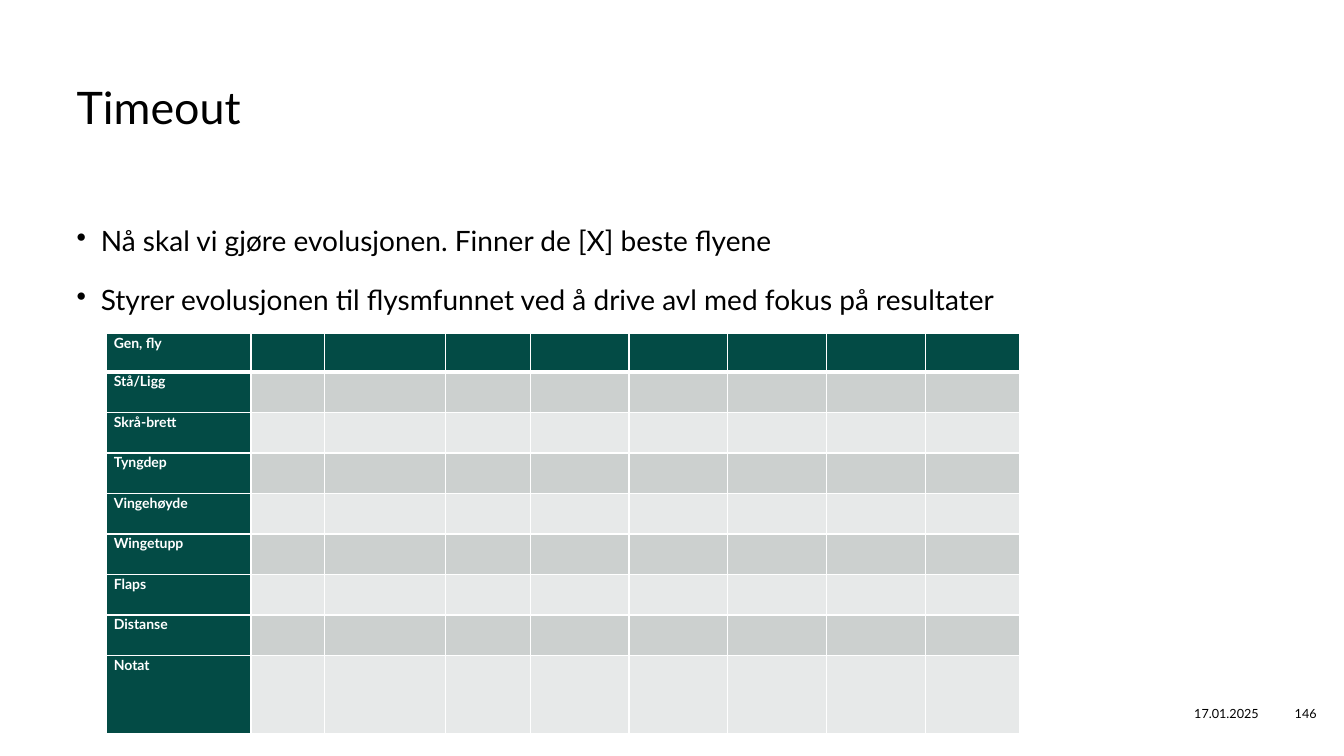
from pptx import Presentation
from pptx.dml.color import RGBColor
from pptx.enum.text import MSO_ANCHOR, PP_ALIGN
from pptx.oxml.ns import qn
from pptx.util import Inches, Pt
from lxml import etree

BLACK = RGBColor(0x00, 0x00, 0x00)
WHITE = RGBColor(0xFF, 0xFF, 0xFF)
GREEN = RGBColor(0x03, 0x4B, 0x45)
GREY = RGBColor(0xCC, 0xD0, 0xCF)
PALE_GREY = RGBColor(0xE7, 0xE9, 0xE9)

LEFT, CENTER, RIGHT = PP_ALIGN.LEFT, PP_ALIGN.CENTER, PP_ALIGN.RIGHT
TOP, MIDDLE = MSO_ANCHOR.TOP, MSO_ANCHOR.MIDDLE

GENES = ["Gen, fly", "Stå/Ligg", "Skrå-brett", "Tyngdep", "Vingehøyde",
         "Wingetupp", "Flaps", "Distanse", "Notat"]
COLUMN_WIDTHS = [10.73, 5.48, 9, 6.3] + [7.35] * 4 + [6.98]
ROW_HEIGHTS = [5.07] + [5.36] * 7 + [10.27]


def write(para, text, size=20, color=BLACK, bold=False, align=LEFT,
          before=0, after=0, spacing=1.0, bullet=False):
    """Fill a paragraph with one formatted run."""
    if bullet:
        properties = para._p.get_or_add_pPr()
        properties.set("marL", str(Inches(0.24)))
        properties.set("indent", str(-Inches(0.24)))
        etree.SubElement(properties, qn("a:buChar")).set("char", "•")
    para.alignment = align
    para.space_before = Pt(before)
    para.space_after = Pt(after)
    para.line_spacing = spacing
    span = para.add_run()
    span.text = text
    span.font.name = "Lato"
    span.font.size = Pt(size)
    span.font.bold = bold
    span.font.color.rgb = color


def border(cell, side, width):
    """Draw one white edge of a table cell."""
    line = etree.Element(qn(f"a:ln{side}"), w=str(Pt(width)))
    fill = etree.SubElement(line, qn("a:solidFill"))
    etree.SubElement(fill, qn("a:srgbClr")).set("val", str(WHITE))
    return line


class Page:
    """Places elements on a slide by percentages of its size."""

    def __init__(self, deck):
        self.width, self.height = deck.slide_width, deck.slide_height
        self.shapes = deck.slides.add_slide(deck.slide_layouts[6]).shapes

    def across(self, percent):
        """Turn a percentage of the width into a length."""
        return round(self.width * percent / 100)

    def down(self, percent):
        """Turn a percentage of the height into a length."""
        return round(self.height * percent / 100)

    def text(self, left, top, width, height, lines, inset=0, anchor=TOP, gap=0, **style):
        """Add a text box with one paragraph per line."""
        box = self.shapes.add_textbox(self.across(left), self.down(top),
                                      self.across(width), self.down(height))
        frame = box.text_frame
        frame.word_wrap = True
        frame.vertical_anchor = anchor
        frame.margin_left = frame.margin_right = Inches(inset)
        frame.margin_top = frame.margin_bottom = Inches(inset / 2)
        for index, line in enumerate(lines):
            para = frame.add_paragraph() if index else frame.paragraphs[0]
            write(para, line, before=gap if index else 0, **style)

    def table(self, left, top, widths, heights, labels):
        """Add a banded table with a label at the start of each row."""
        table = self.shapes.add_table(
            len(heights), len(widths), self.across(left), self.down(top),
            self.across(sum(widths)), self.down(sum(heights))).table
        for column, width in zip(table.columns, widths):
            column.width = self.across(width)
        for row_index, (row, height) in enumerate(zip(table.rows, heights)):
            row.height = self.down(height)
            band = GREY if row_index % 2 else PALE_GREY
            for column_index, cell in enumerate(row.cells):
                is_header = row_index == 0 or column_index == 0
                self.cell(cell, GREEN if is_header else band, row_index)
            write(row.cells[0].text_frame.paragraphs[0], labels[row_index],
                  size=10, color=WHITE, bold=True, after=8, spacing=1.07)

    def cell(self, cell, color, row_index):
        """Set the margins, edges and fill of a table cell."""
        cell.margin_left = cell.margin_right = Inches(0.07)
        cell.margin_top = cell.margin_bottom = 0
        properties = cell._tc.get_or_add_tcPr()
        edges = {"L": 1, "R": 1, "T": 3 if row_index == 1 else 1,
                 "B": 3 if row_index == 0 else 1}
        for side, width in edges.items():
            properties.append(border(cell, side, width))
        cell.fill.solid()
        cell.fill.fore_color.rgb = color


def main():
    """Build the slide and save it."""
    deck = Presentation()
    deck.slide_width, deck.slide_height = Inches(13.33), Inches(7.5)
    page = Page(deck)
    page.text(5.7, 10.53, 77.72, 19.07, ["Timeout"], size=32)
    page.text(5.7, 29.6, 77.72, 59.2, [
        "Nå skal vi gjøre evolusjonen. Finner de [X] beste flyene",
        "Styrer evolusjonen til flysmfunnet ved å drive avl med fokus på resultater",
    ], gap=18, bullet=True)
    footer = {"inset": 0.1, "anchor": MIDDLE, "size": 9}
    page.text(83.35, 91.73, 11.03, 5.33, ["17.01.2025"], align=RIGHT, **footer)
    page.text(94.3, 91.73, 5.7, 5.33, ["146"], align=CENTER, **footer)
    page.table(7.95, 44.13, COLUMN_WIDTHS, ROW_HEIGHTS, GENES)
    deck.save("out.pptx")


if __name__ == "__main__":
    main()
